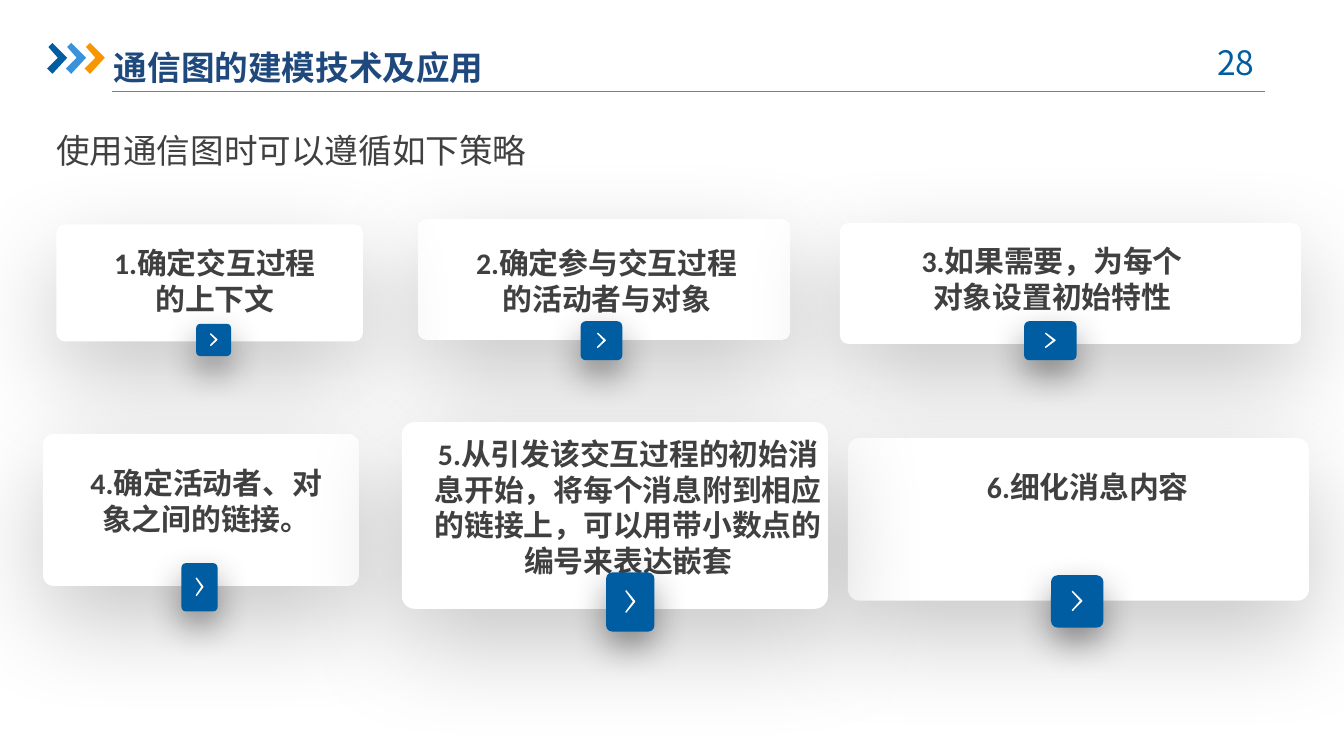
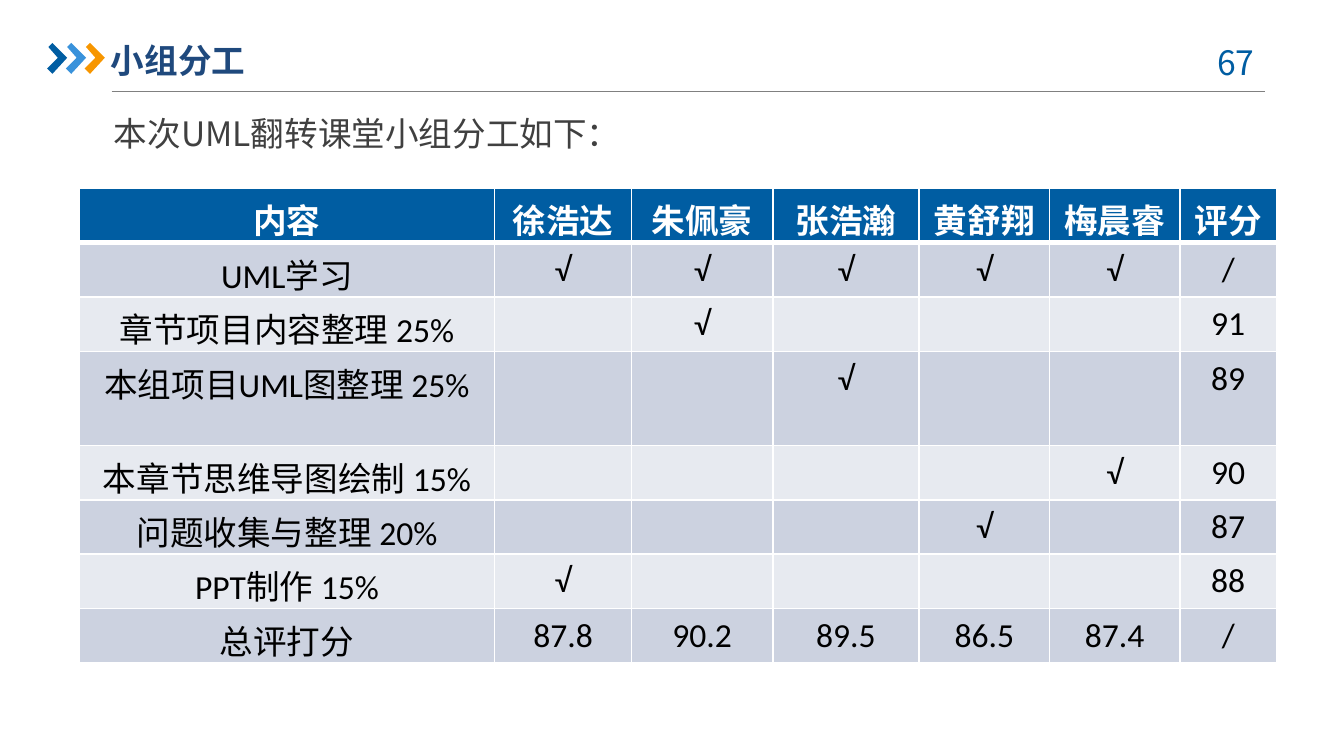
"""Build two slides: communication diagram strategies and the team's division of work."""
from dataclasses import dataclass

from lxml import etree
from pptx import Presentation
from pptx.dml.color import RGBColor
from pptx.enum.shapes import MSO_CONNECTOR, MSO_SHAPE
from pptx.enum.text import MSO_ANCHOR, MSO_AUTO_SIZE, PP_ALIGN
from pptx.oxml.ns import qn
from pptx.util import Emu, Pt

PX = 9144
LEFT, CENTER = PP_ALIGN.LEFT, PP_ALIGN.CENTER
TOP, MIDDLE = MSO_ANCHOR.TOP, MSO_ANCHOR.MIDDLE
GROW, FIXED = MSO_AUTO_SIZE.SHAPE_TO_FIT_TEXT, MSO_AUTO_SIZE.NONE
ROUNDED, STRAIGHT = MSO_SHAPE.ROUNDED_RECTANGLE, MSO_CONNECTOR.STRAIGHT


@dataclass(frozen=True)
class Theme:
    blue: str = "005DA2"
    sky: str = "3992DB"
    orange: str = "F79600"
    navy: str = "1F497D"
    text: str = "404040"
    rule: str = "808080"
    white: str = "FFFFFF"
    black: str = "000000"
    band_dark: str = "CCD2E0"
    band_light: str = "E7EAF0"
    sans: str = "Noto Sans CJK SC"
    latin: str = "Calibri"
    body: int = 18
    card: int = 16


THEME = Theme()
CARD_SHADOW = (22, 55, 19)
BADGE_SHADOW = (40, 19, 8)
ARROW = [(1, 3), (4, 0), (15, 11), (4, 23), (0, 19), (8, 11)]

CARDS = [
    ("2.确定参与交互过程的活动者与对象",
     (311, 163, 277, 90), (335, 177, 233, 48), (432, 239, 31, 29)),
    ("1.确定交互过程的上下文",
     (42, 167, 228, 87), (65, 177, 190, 25), (146, 241, 26, 24)),
    ("3.如果需要，为每个对象设置初始特性",
     (625, 166, 343, 90), (666, 176, 234, 48), (762, 239, 39, 29)),
    ("4.确定活动者、对象之间的链接。",
     (32, 323, 235, 113), (47, 341, 213, 60), (135, 419, 27, 36)),
    ("6.细化消息内容",
     (631, 326, 343, 121), (651, 344, 317, 37), (782, 428, 39, 39)),
    ("5.从引发该交互过程的初始消息开始，将每个消息附到相应的链接上，"
     "可以用带小数点的编号来表达嵌套",
     (299, 314, 317, 139), (306, 319, 323, 135), (451, 426, 36, 44)),
]

COLUMNS = [309, 102, 105, 109, 97, 97, 72]
ROWS = [
    ["内容", "徐浩达", "朱佩豪", "张浩瀚", "黄舒翔", "梅晨睿", "评分"],
    ["UML学习", "√", "√", "√", "√", "√", "/"],
    ["章节项目内容整理 25%", "", "√", "", "", "", "91"],
    ["本组项目UML图整理 25%", "", "", "√", "", "", "89"],
    ["本章节思维导图绘制 15%", "", "", "", "", "√", "90"],
    ["问题收集与整理 20%", "", "", "", "√", "", "87"],
    ["PPT制作 15%", "√", "", "", "", "", "88"],
    ["总评打分", "87.8", "90.2", "89.5", "86.5", "87.4", "/"],
]


def rgb(color):
    return RGBColor.from_string(color)


def emu(*lengths):
    return [Emu(round(n * PX)) for n in lengths]


def write(tf, text, size=THEME.body, font=THEME.sans, east=None, color=THEME.text,
          bold=False, align=LEFT, spacing=None):
    p = tf.paragraphs[0]
    p.alignment = align
    if spacing:
        p.line_spacing = spacing
    r = p.add_run()
    r.text = text
    r.font.size, r.font.bold, r.font.name = Pt(size), bold, font
    r.font.color.rgb = rgb(color)
    etree.SubElement(r.font._element, qn("a:ea"), typeface=east or font)


def add_color(parent, color, alpha=None):
    clr = etree.SubElement(parent, qn("a:srgbClr"), val=color)
    if alpha is not None:
        etree.SubElement(clr, qn("a:alpha"), val=str(alpha * 1000))


def set_borders(cell, bottom):
    tc_pr = cell._tc.get_or_add_tcPr()
    widths = {"a:lnL": 1, "a:lnR": 1, "a:lnT": 1, "a:lnB": bottom}
    for i, (tag, width) in enumerate(widths.items()):
        ln = etree.Element(qn(tag), w=str(Pt(width)))
        add_color(etree.SubElement(ln, qn("a:solidFill")), THEME.white)
        tc_pr.insert(i, ln)


class Deck:
    def __init__(self, prs):
        self.prs = prs
        self.shapes = None

    def slide(self, number):
        s = self.prs.slides.add_slide(self.prs.slide_layouts[6])
        s.background.fill.solid()
        s.background.fill.fore_color.rgb = rgb(THEME.white)
        self.shapes = s.shapes
        self.line(83, 68, 941, 68)
        for i, color in enumerate((THEME.blue, THEME.sky, THEME.orange)):
            self.polygon([(35 + 14 * i + x, 32 + y) for x, y in ARROW], color)
        self.text((886, 26, 73, 40), f"{number} ", color=THEME.blue, align=CENTER)

    def line(self, x1, y1, x2, y2):
        c = self.shapes.add_connector(STRAIGHT, *emu(x1, y1, x2, y2))
        c.line.color.rgb, c.line.width = rgb(THEME.rule), Pt(0.75)
        etree.SubElement(c._element.spPr, qn("a:effectLst"))

    def polygon(self, points, color, outline=False):
        start, *rest = [emu(*point) for point in points]
        builder = self.shapes.build_freeform(*start)
        builder.add_line_segments(rest, close=True)
        sp = builder.convert_to_shape()
        sp.shadow.inherit = False
        sp.fill.solid()
        sp.fill.fore_color.rgb = rgb(color)
        if outline:
            sp.line.color.rgb, sp.line.width = rgb(color), Pt(0.75)
        else:
            sp.line.fill.background()

    def text(self, box, text, anchor=TOP, fit=GROW, side=10, **style):
        tf = self.shapes.add_textbox(*emu(*box)).text_frame
        tf.word_wrap, tf.auto_size, tf.vertical_anchor = True, fit, anchor
        tf.margin_left, tf.margin_right = emu(side, side)
        write(tf, text, **style)

    def panel(self, box, color, radius, shadow):
        sp = self.shapes.add_shape(ROUNDED, *emu(*box))
        sp.adjustments[0] = radius
        sp.fill.solid()
        sp.fill.fore_color.rgb = rgb(color)
        sp.line.fill.background()
        sp.shadow.inherit = False
        alpha, blur, dist = shadow
        effects = sp._element.spPr.find(qn("a:effectLst"))
        outer = etree.SubElement(effects, qn("a:outerShdw"), blurRad=str(Pt(blur)),
                                 dist=str(Pt(dist)), dir="5400000", rotWithShape="0")
        add_color(outer, THEME.black, alpha)

    def card(self, text, box, text_box, badge):
        self.panel(box, THEME.white, 0.07, CARD_SHADOW)
        self.text(text_box, text, size=THEME.card, font=THEME.latin, bold=True, align=CENTER)
        self.panel(badge, THEME.blue, 0.13, BADGE_SHADOW)
        x, y, w, h = badge
        chevron = [(0.41, 0.31), (0.59, 0.49), (0.41, 0.67), (0.57, 0.49)]
        self.polygon([(x + fx * w, y + fy * h) for fx, fy in chevron], THEME.white, outline=True)

    def table(self, x, y, columns, height, rows):
        size = emu(x, y, sum(columns), height)
        table = self.shapes.add_table(len(rows), len(columns), *size).table
        for column, width in zip(table.columns, columns):
            column.width = Emu(width * PX)
        for i, row in enumerate(rows):
            head = i == 0
            band = THEME.band_dark if i % 2 else THEME.band_light
            for j, value in enumerate(row):
                cell = table.cell(i, j)
                cell.fill.solid()
                cell.fill.fore_color.rgb = rgb(THEME.blue if head else band)
                set_borders(cell, 3 if head else 1)
                if value:
                    write(cell.text_frame, value, font=THEME.latin, east=THEME.sans, bold=head,
                          color=THEME.white if head else THEME.black, align=CENTER)


def strategy_slide(deck):
    deck.slide(28)
    deck.text((75, 30, 500, 40), "通信图的建模技术及应用", color=THEME.navy, bold=True)
    deck.text((32, 92, 500, 40), "使用通信图时可以遵循如下策略")
    for card in CARDS:
        deck.card(*card)


def team_slide(deck):
    deck.slide(67)
    deck.text((75, 24, 115, 42), "小组分工", anchor=MIDDLE, fit=FIXED, side=0,
              color=THEME.navy, bold=True, align=CENTER)
    deck.text((75, 64, 417, 50), "本次UML翻转课堂小组分工如下：", spacing=1.5)
    deck.table(59, 140, COLUMNS, 324, ROWS)


def main():
    prs = Presentation()
    prs.slide_width = Emu(1000 * PX)
    prs.slide_height = Emu(prs.slide_width * 9 // 16)
    deck = Deck(prs)
    strategy_slide(deck)
    team_slide(deck)
    prs.save("out.pptx")


if __name__ == "__main__":
    main()
